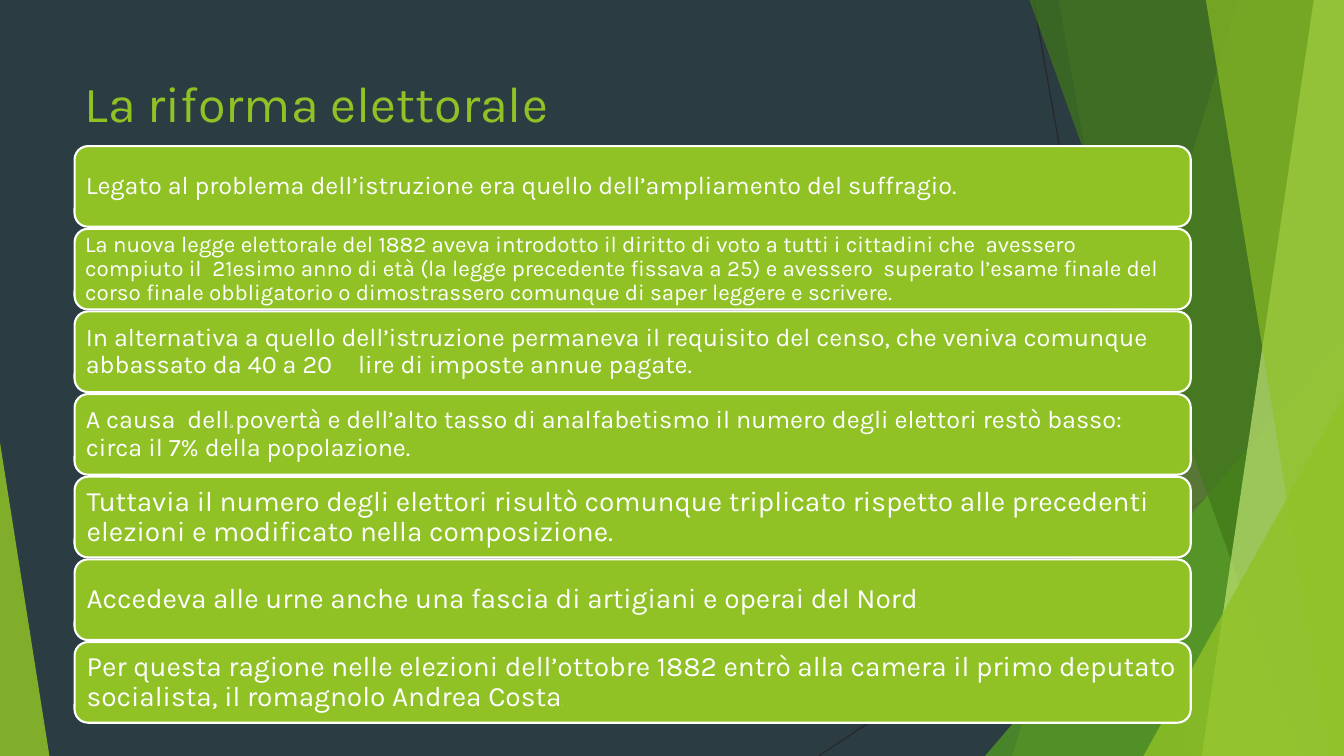
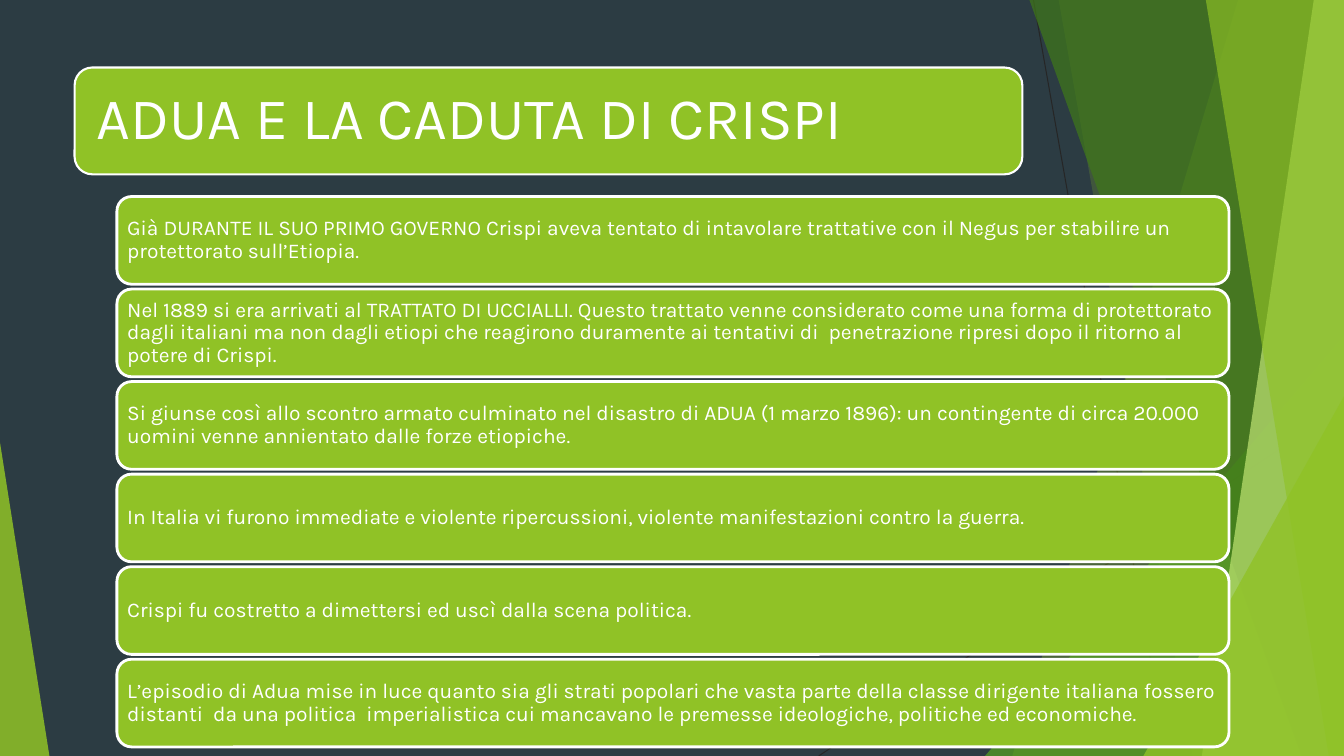
from lxml import etree
from pptx import Presentation
from pptx.dml.color import RGBColor
from pptx.enum.shapes import MSO_CONNECTOR, MSO_SHAPE
from pptx.enum.text import MSO_ANCHOR, PP_ALIGN
from pptx.oxml.ns import qn
from pptx.util import Inches, Pt

STRAIGHT = MSO_CONNECTOR.STRAIGHT
TRIANGLE = MSO_SHAPE.ISOSCELES_TRIANGLE
ROUNDED = MSO_SHAPE.ROUNDED_RECTANGLE
MIDDLE = MSO_ANCHOR.MIDDLE
LEFT = PP_ALIGN.LEFT

WIDTH, HEIGHT = 13.33, 7.5
FONT = "Karla"
NIGHT = "2C3C43"
GREEN = "90C226"
LEAF = "54A021"
FOREST = "3F7819"
LIME = "C0E474"
CHARCOAL = "262626"
WHITE = "FFFFFF"
MARGIN = 0.74
TINY = 5

REFORM_CARDS = [
    (18, ["Legato al problema dell’istruzione era quello dell’ampliamento del suffragio."]),
    (16, ["La nuova legge elettorale del 1882 aveva introdotto il diritto di voto a tutti "
          "i cittadini che  avessero compiuto il  21esimo anno di età (la legge precedente "
          "fissava a 25) e avessero  superato l’esame finale del corso finale obbligatorio "
          "o dimostrassero comunque di saper leggere e scrivere."]),
    (18, ["In alternativa a quello dell’istruzione permaneva il requisito del censo, che "
          "veniva comunque abbassato da 40 a 20\tlire di imposte annue pagate."]),
    (18, ["A causa  dell", ("a ", TINY),
          "povertà e dell’alto tasso di analfabetismo il numero degli elettori restò "
          "basso: circa il 7% della popolazione."]),
    (20, ["Tuttavia il numero degli elettori risultò comunque triplicato rispetto alle "
          "precedenti elezioni e modificato nella composizione."]),
    (20, ["Accedeva alle urne anche una fascia di artigiani e operai del Nord", (".", TINY)]),
    (20, ["Per questa ragione nelle elezioni dell’ottobre 1882 entrò alla camera il primo "
          "deputato socialista, il romagnolo Andrea Costa", (".", TINY)]),
]

ADUA_CARDS = [(15, [text]) for text in (
    "Già DURANTE IL SUO PRIMO GOVERNO Crispi aveva tentato di intavolare trattative con il "
    "Negus per stabilire un protettorato sull’Etiopia.",
    "Nel 1889 si era arrivati al TRATTATO DI UCCIALLI. Questo trattato venne considerato "
    "come una forma di protettorato dagli italiani ma non dagli etiopi che reagirono "
    "duramente ai tentativi di  penetrazione ripresi dopo il ritorno al potere di Crispi.",
    "Si giunse così allo scontro armato culminato nel disastro di ADUA (1 marzo 1896): un "
    "contingente di circa 20.000 uomini venne annientato dalle forze etiopiche.",
    "In Italia vi furono immediate e violente ripercussioni, violente manifestazioni contro "
    "la guerra.",
    "Crispi fu costretto a dimettersi ed uscì dalla scena politica.",
    "L’episodio di Adua mise in luce quanto sia gli strati popolari che vasta parte della "
    "classe dirigente italiana fossero distanti  da una politica  imperialistica cui "
    "mancavano le premesse ideologiche, politiche ed economiche.",
)]


def color(value):
    return RGBColor.from_string(value)


def fill_facet(shape, value, opacity):
    shape.shadow.inherit = False
    shape.line.fill.background()
    shape.fill.solid()
    shape.fill.fore_color.rgb = color(value)
    rgb = shape.fill._xPr.find(".//" + qn("a:srgbClr"))
    etree.SubElement(rgb, qn("a:alpha")).set("val", str(opacity * 1000))


def add_band(slide, top_x, bottom_x, value, opacity):
    builder = slide.shapes.build_freeform(Inches(top_x), 0)
    corners = [(WIDTH, 0), (WIDTH, HEIGHT), (bottom_x, HEIGHT)]
    builder.add_line_segments([(Inches(x), Inches(y)) for x, y in corners])
    fill_facet(builder.convert_to_shape(), value, opacity)


def add_corner(slide, left, right, top, apex, value, opacity):
    shape = slide.shapes.add_shape(TRIANGLE, Inches(left), Inches(top),
                                   Inches(right - left), Inches(HEIGHT - top))
    shape.adjustments[0] = apex
    fill_facet(shape, value, opacity)


def add_hairline(slide, *ends):
    line = slide.shapes.add_connector(STRAIGHT, *[Inches(end) for end in ends])
    line.line.color.rgb = color(CHARCOAL)
    line.line.width = Pt(0.75)
    etree.SubElement(line._element.spPr, qn("a:effectLst"))


def add_backdrop(slide):
    slide.background.fill.solid()
    slide.background.fill.fore_color.rgb = color(NIGHT)
    add_hairline(slide, 10.25, 0, 11.58, HEIGHT)
    add_hairline(slide, WIDTH, 4.03, 8.12, HEIGHT)
    add_band(slide, 12.28, 10.04, GREEN, 30)
    add_band(slide, 10.5, 11.83, GREEN, 20)
    add_corner(slide, 9.77, WIDTH, 3.33, 1, LEAF, 72)
    add_band(slide, 10.21, 12.91, FOREST, 70)
    add_band(slide, 13.03, 11.92, LIME, 70)
    add_band(slide, 11.96, 13.18, GREEN, 65)
    add_corner(slide, 11.34, WIDTH, 3.93, 1, GREEN, 80)
    add_corner(slide, 0, 0.49, 4.39, 0, GREEN, 85)


def add_tab_stop(paragraph, position):
    tabs = etree.SubElement(paragraph._p.get_or_add_pPr(), qn("a:tabLst"))
    etree.SubElement(tabs, qn("a:tab"), pos=str(Inches(position)), algn="l")


def write(paragraph, pieces, size, value):
    if any("\t" in piece for piece in pieces):
        add_tab_stop(paragraph, 2.7)
    paragraph.alignment = LEFT
    paragraph.font.name = FONT
    paragraph.font.size = Pt(size)
    paragraph.font.color.rgb = color(value)
    for piece in pieces:
        text, own_size = (piece, None) if isinstance(piece, str) else piece
        run = paragraph.add_run()
        run.text = text
        if own_size:
            run.font.size = Pt(own_size)


def add_title(slide, text):
    box = slide.shapes.add_textbox(Inches(MARGIN), Inches(0.67), Inches(9.4), Inches(0.75))
    box.text_frame.word_wrap = True
    write(box.text_frame.paragraphs[0], [text], 36, GREEN)


def add_card(slide, left, top, width, height, pieces, size, outline=1.5):
    shape = slide.shapes.add_shape(ROUNDED, Inches(left), Inches(top),
                                   Inches(width), Inches(height))
    shape.shadow.inherit = False
    shape.fill.solid()
    shape.fill.fore_color.rgb = color(GREEN)
    shape.line.color.rgb = color(WHITE)
    shape.line.width = Pt(outline)
    frame = shape.text_frame
    frame.word_wrap = True
    frame.vertical_anchor = MIDDLE
    inset = Pt(size * 0.29)
    frame.margin_left = frame.margin_right = inset
    frame.margin_top = frame.margin_bottom = inset
    write(frame.paragraphs[0], pieces, size, WHITE)
    frame.paragraphs[0].line_spacing = 0.9


def add_card_stack(slide, cards, left, first_top, last_top, width, height, outline):
    pitch = (last_top - first_top) / (len(cards) - 1)
    for index, (size, pieces) in enumerate(cards):
        add_card(slide, left, first_top + index * pitch, width, height, pieces, size, outline)


def add_slide(presentation):
    slide = presentation.slides.add_slide(presentation.slide_layouts[6])
    add_backdrop(slide)
    return slide


def main():
    presentation = Presentation()
    presentation.slide_width = Inches(WIDTH)
    presentation.slide_height = Inches(HEIGHT)

    reform = add_slide(presentation)
    add_title(reform, "La riforma elettorale")
    add_card_stack(reform, REFORM_CARDS, MARGIN, 1.45, 6.37, 11.07, 0.8, 1.5)

    adua = add_slide(presentation)
    add_card(adua, MARGIN, 0.67, 9.4, 1.06, ["ADUA E LA CADUTA DI CRISPI"], 42)
    add_card_stack(adua, ADUA_CARDS, 1.16, 1.95, 6.54, 11.03, 0.87, 2)

    presentation.save("out.pptx")


if __name__ == "__main__":
    main()
